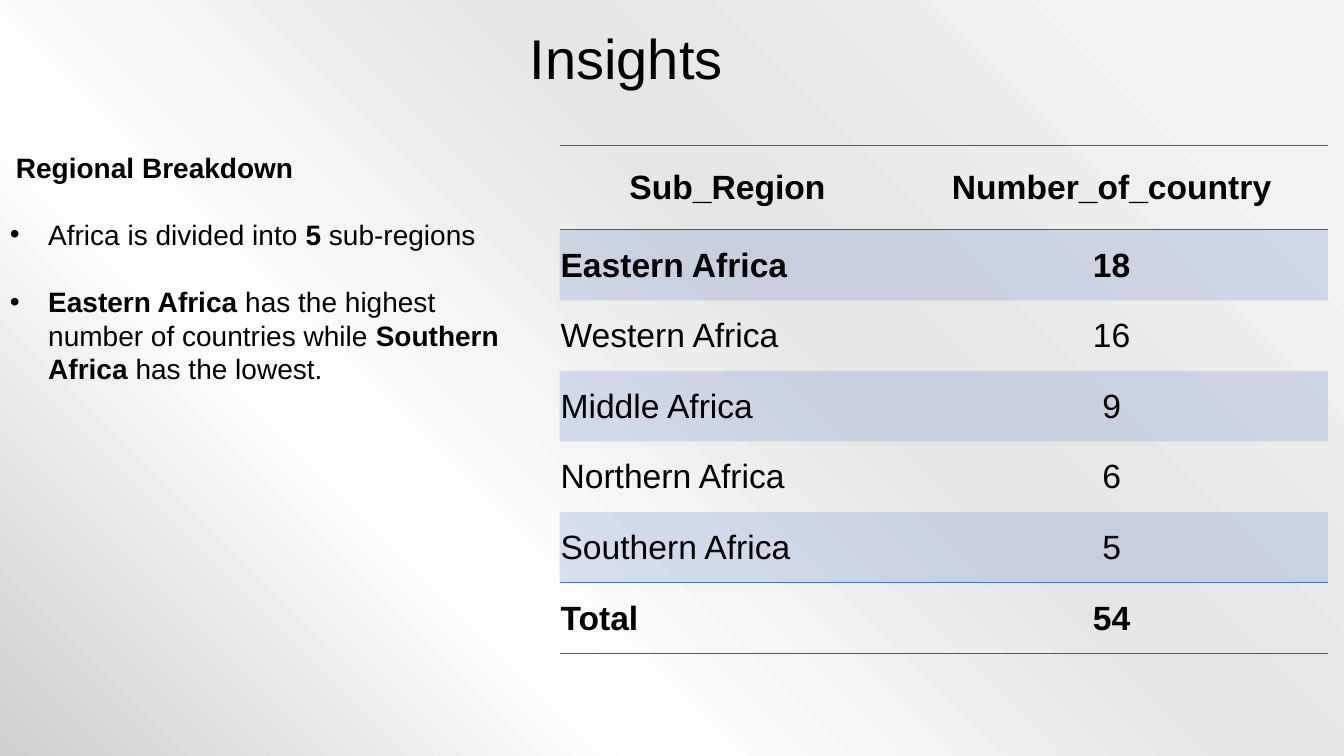
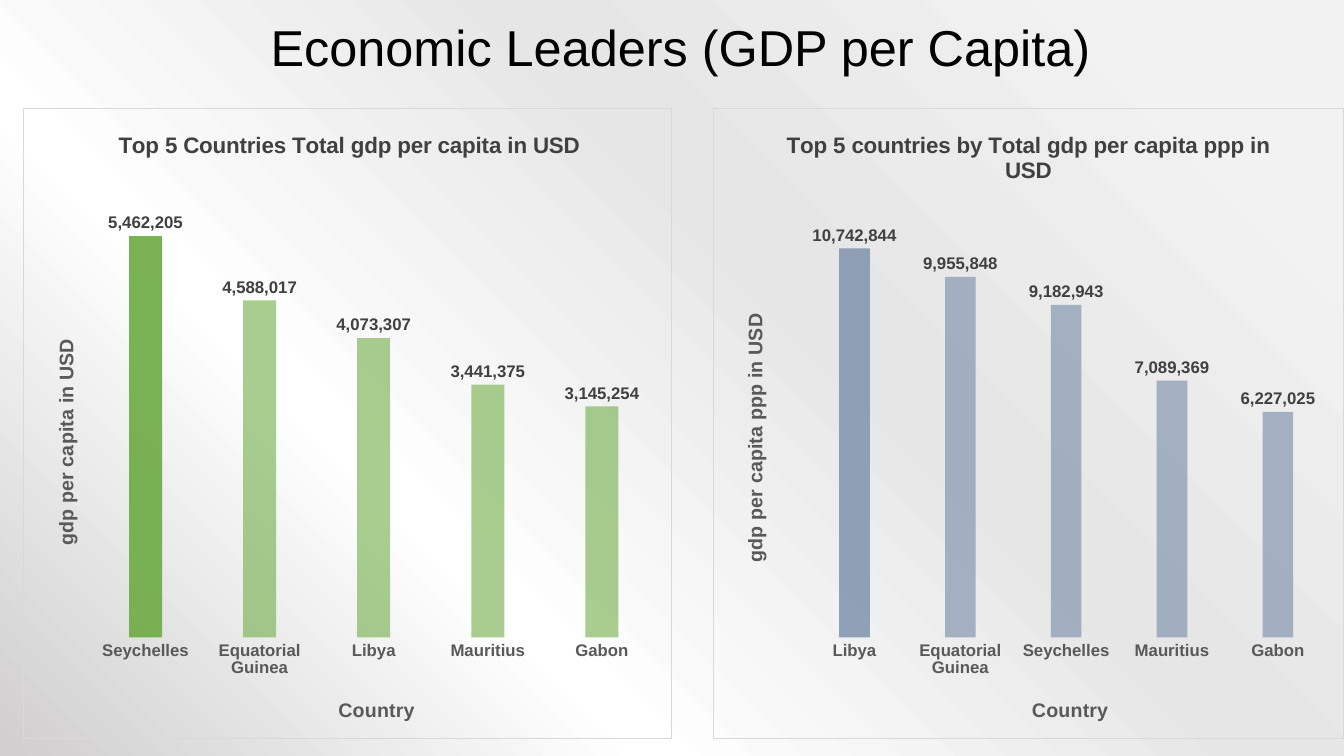
from lxml import etree
from pptx import Presentation
from pptx import util as u
from pptx.chart.data import CategoryChartData
from pptx.dml.color import RGBColor
from pptx.enum import chart as ch, text
from pptx.oxml import parse_xml
from pptx.oxml.ns import nsdecls, qn

# Shared style
FONT = "Arial"
BLACK, DARK, GREY, RULE, BORDER = "000000", "404040", "595959", "595959", "D9D9D9"
BLUE = "4472C4"
BACKDROP = [(10, "F2F2F2"), (40, "E7E6E6"), (69, "FFFFFF"), (100, "D0CECE")]

# Slide 1 content
REGIONS = [
    ("Sub_Region", "Number_of_country"),
    ("Eastern Africa", "18"),
    ("Western Africa", "16"),
    ("Middle Africa", "9"),
    ("Northern Africa", "6"),
    ("Southern Africa", "5"),
    ("Total", "54"),
]
BOLD_ROWS = (0, 1, 6)
BANDED_ROWS = (1, 3, 5)
ROW_RULES = {0: (("T", RULE), ("B", RULE)), 6: (("T", BLUE), ("B", RULE))}
# Each note is a list of (text, bold) runs
NOTES = [
    [("Regional Breakdown", True)],
    [("Africa is divided into ", False), ("5", True), (" sub-regions", False)],
    [("Eastern Africa", True), (" has the highest number of countries while ", False),
     ("Southern Africa", True), (" has the lowest.", False)],
]

# Slide 2 content; layout values are fractions of the chart frame
CHARTS = [
    dict(title="Top 5 Countries Total gdp per capita in USD",
         axis="gdp per capita in USD",
         data=[("Seychelles", 5462205), ("Equatorial Guinea", 4588017),
               ("Libya", 4073307), ("Mauritius", 3441375), ("Gabon", 3145254)],
         box=(0.23, 1.07, 6.44, 6.26), top=6000000, color="70AD47", alpha=60, lead=93,
         plot_at=(0.1, 0.14, 0.88, 0.7), title_at=(0.14, 0.03),
         cat_at=(0.48, 0.93), val_at=(0.04, 0.36)),
    dict(title="Top 5 countries by Total gdp per capita ppp in USD",
         axis="gdp per capita ppp in USD",
         data=[("Libya", 10742844), ("Equatorial Guinea", 9955848),
               ("Seychelles", 9182943), ("Mauritius", 7089369), ("Gabon", 6227025)],
         box=(7.07, 1.07, 6.26, 6.26), top=12000000, color="8497B0", alpha=70, lead=89,
         plot_at=(0.14, 0.15, 0.84, 0.69), title_at=(0.11, 0.03),
         cat_at=(0.5, 0.93), val_at=(0.04, 0.32)),
]


def rgb(color):
    return RGBColor.from_string(color)


def inches(*values):
    return [u.Inches(v) for v in values]


def style(font, size, color=BLACK, bold=False):
    font.name, font.size, font.bold = FONT, u.Pt(size), bold
    font.color.rgb = rgb(color)


def paint(fill, parent, color, alpha):
    """Solid fill with an opacity in percent."""
    fill.solid()
    fill.fore_color.rgb = rgb(color)
    clr = parent.find(".//" + qn("a:srgbClr"))
    etree.SubElement(clr, qn("a:alpha")).set("val", str(alpha * 1000))


def set_backdrop(master):
    master.background.fill.solid()
    stops = "".join(f'<a:gs pos="{pos * 1000}"><a:srgbClr val="{c}"/></a:gs>'
                    for pos, c in BACKDROP)
    grad = parse_xml(
        f'<a:gradFill {nsdecls("a")} rotWithShape="1"><a:gsLst>{stops}</a:gsLst>'
        '<a:path path="circle"><a:fillToRect l="100000" b="100000"/></a:path>'
        '<a:tileRect t="-100000" r="-100000"/></a:gradFill>')
    bg = master.element.find(".//" + qn("p:bgPr"))
    bg.replace(bg[0], grad)


def add_slide(prs, title, box, size):
    s = prs.slides.add_slide(prs.slide_layouts[5])
    sp = s.shapes.title
    sp.left, sp.top, sp.width, sp.height = inches(*box)
    tf = sp.text_frame
    tf.text = title
    tf.vertical_anchor = text.MSO_ANCHOR.MIDDLE
    p = tf.paragraphs[0]
    p.alignment, p.line_spacing = text.PP_ALIGN.CENTER, 0.9
    style(p.runs[0].font, size)
    return s


def add_region_table(s):
    frame = s.shapes.add_table(len(REGIONS), 2, *inches(5.55, 1.44, 7.62, 5.04))
    table = frame.table
    table.first_row = table.horz_banding = False
    # "No Style, No Grid"
    frame._element.find(".//" + qn("a:tableStyleId")).text = (
        "{2D5ABB26-0587-4C30-8999-92F81FD0307C}")
    for column, width in zip(table.columns, inches(3.33, 4.29)):
        column.width = width
    for i, row in enumerate(REGIONS):
        table.rows[i].height = u.Inches(0.7 if i else 0.84)
        for j, value in enumerate(row):
            cell = table.cell(i, j)
            cell.text = value
            cell.vertical_anchor = text.MSO_ANCHOR.MIDDLE
            cell.margin_left = cell.margin_right = cell.margin_top = u.Inches(0.01)
            cell.margin_bottom = 0
            p = cell.text_frame.paragraphs[0]
            p.alignment = text.PP_ALIGN.LEFT if i and not j else text.PP_ALIGN.CENTER
            style(p.runs[0].font, 24, bold=i in BOLD_ROWS)
            tc_pr = cell._tc.get_or_add_tcPr()
            if i in BANDED_ROWS:
                paint(cell.fill, tc_pr, BLUE, 20)
            else:
                cell.fill.background()
            for n, (side, color) in enumerate(ROW_RULES.get(i, ())):
                tc_pr.insert(n, parse_xml(
                    f'<a:ln{side} {nsdecls("a")} w="12700"><a:solidFill>'
                    f'<a:srgbClr val="{color}"/></a:solidFill></a:ln{side}>'))


def add_notes(s):
    tf = s.shapes.add_textbox(*inches(0, 1.44, 5.06, 5.61)).text_frame
    tf.word_wrap = True
    for i, runs in enumerate(NOTES):
        p = tf.add_paragraph() if i else tf.paragraphs[0]
        p_pr = p._p.get_or_add_pPr()
        p_pr.set("marL", str(u.Inches(0.38 if i else 0.06)))
        p.line_spacing = u.Pt(24)
        if i:
            p.space_before = u.Pt(24)
            p_pr.set("indent", str(-u.Inches(0.38)))
            etree.SubElement(p_pr, qn("a:buFont")).set("typeface", FONT)
            etree.SubElement(p_pr, qn("a:buChar")).set("char", "•")
        for words, bold in runs:
            r = p.add_run()
            r.text = words
            style(r.font, 20, bold=bold)


def place(element, at, inner=False):
    """Fix a chart part at x, y (and w, h) fractions."""
    for old in element.findall(qn("c:layout")):
        element.remove(old)
    target = '<c:layoutTarget val="inner"/>' if inner else ""
    modes = '<c:xMode val="edge"/><c:yMode val="edge"/>'
    sizes = "".join(f'<c:{k} val="{v}"/>' for k, v in zip("xywh", at))
    layout = parse_xml(f'<c:layout {nsdecls("c")}><c:manualLayout>{target}{modes}{sizes}'
                       '</c:manualLayout></c:layout>')
    tx = element.find(qn("c:tx"))
    element.insert(0 if tx is None else 1, layout)


def set_title(owner, title, words, size, color, at):
    owner.has_title = True
    tf = title().text_frame
    tf.text = words
    style(tf.paragraphs[0].runs[0].font, size, color, True)
    place(tf._txBody.getparent().getparent(), at)
    return tf


def add_bar_chart(s, spec):
    names, values = zip(*spec["data"])
    data = CategoryChartData(number_format="#,##0")
    data.categories = names
    data.add_series("Series 1", values)
    chart = s.shapes.add_chart(ch.XL_CHART_TYPE.COLUMN_CLUSTERED,
                               *inches(*spec["box"]), data).chart
    style(chart.font, 12)
    chart.has_legend = False

    # Frame, plot area and titles
    root = chart._chartSpace
    root.find(qn("c:txPr")).addprevious(parse_xml(
        f'<c:spPr {nsdecls("c", "a")}><a:noFill/><a:ln w="9525"><a:solidFill>'
        f'<a:srgbClr val="{BORDER}"/></a:solidFill></a:ln></c:spPr>'))
    area = root.find(".//" + qn("c:plotArea"))
    place(area, spec["plot_at"], inner=True)
    area.append(parse_xml(f'<c:spPr {nsdecls("c", "a")}><a:noFill/></c:spPr>'))
    cat, val = chart.category_axis, chart.value_axis
    set_title(chart, lambda: chart.chart_title, spec["title"], 16, DARK, spec["title_at"])
    set_title(cat, lambda: cat.axis_title, "Country", 14, GREY, spec["cat_at"])
    tf = set_title(val, lambda: val.axis_title, spec["axis"], 14, GREY, spec["val_at"])
    body = tf._txBody.find(qn("a:bodyPr"))
    body.set("rot", "-5400000")
    body.set("vert", "horz")

    # Axes
    cat.major_tick_mark = ch.XL_TICK_MARK.NONE
    cat.format.line.fill.background()
    style(cat.tick_labels.font, 12, GREY, True)
    val.visible = val.has_major_gridlines = False
    val.minimum_scale, val.maximum_scale = 0, spec["top"]

    # Bars: the leader is stronger
    plot = chart.plots[0]
    plot.gap_width, plot.overlap, plot.vary_by_categories = 246, -28, False
    ser = plot.series[0]
    paint(ser.format.fill, ser._element.find(qn("c:spPr")), spec["color"], spec["alpha"])
    fill = ser.points[0].format.fill
    paint(fill, ser._element.find(qn("c:dPt")), spec["color"], spec["lead"])
    plot.has_data_labels = True
    labels = plot.data_labels
    labels.show_value = True
    labels.position = ch.XL_LABEL_POSITION.OUTSIDE_END
    labels.number_format, labels.number_format_is_linked = "#,##0", False
    style(labels.font, 12, DARK, True)


def main():
    prs = Presentation()
    prs.slide_width, prs.slide_height = inches(13.33, 7.5)
    set_backdrop(prs.slide_master)

    s = add_slide(prs, "Insights", (0, 0.08, 12.42, 1.06), 40)
    add_region_table(s)
    add_notes(s)

    s = add_slide(prs, "Economic Leaders (GDP per Capita)", (1, 0.12, 11.5, 0.75), 36)
    for spec in CHARTS:
        add_bar_chart(s, spec)
    prs.save("out.pptx")


if __name__ == "__main__":
    main()
